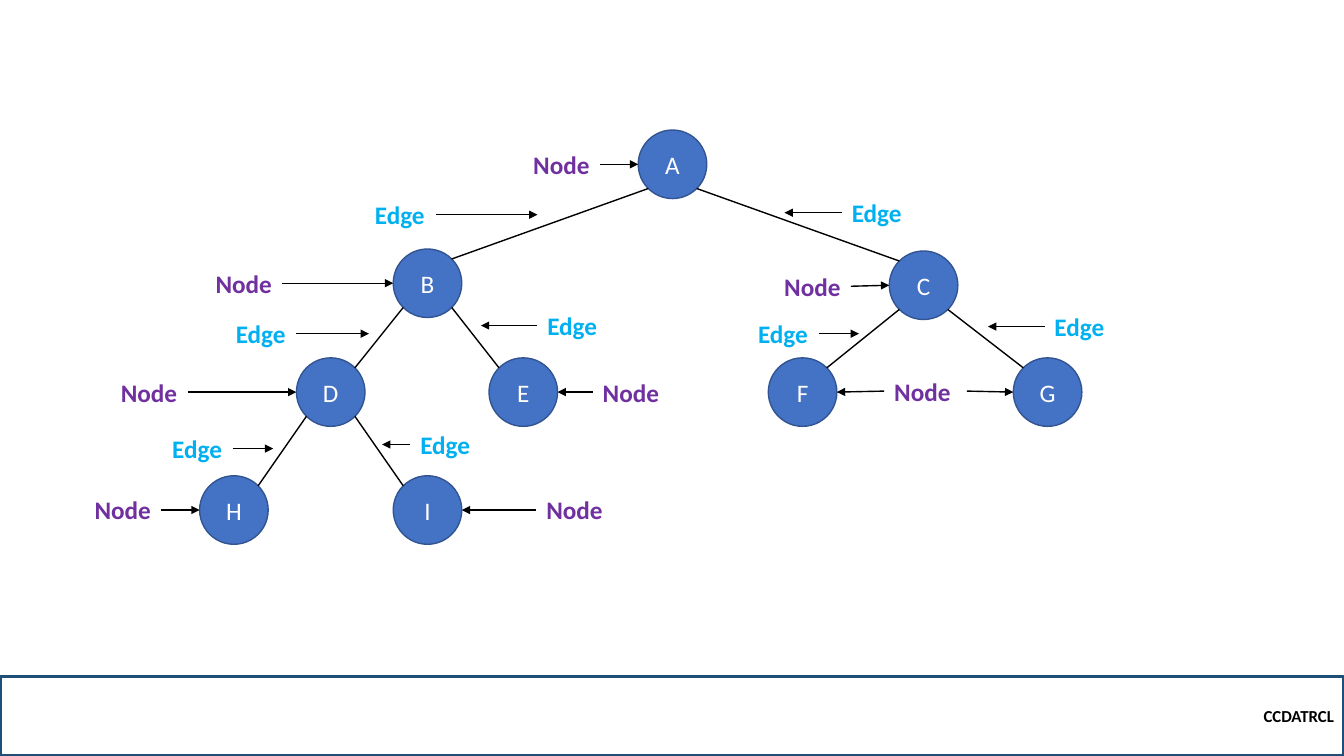
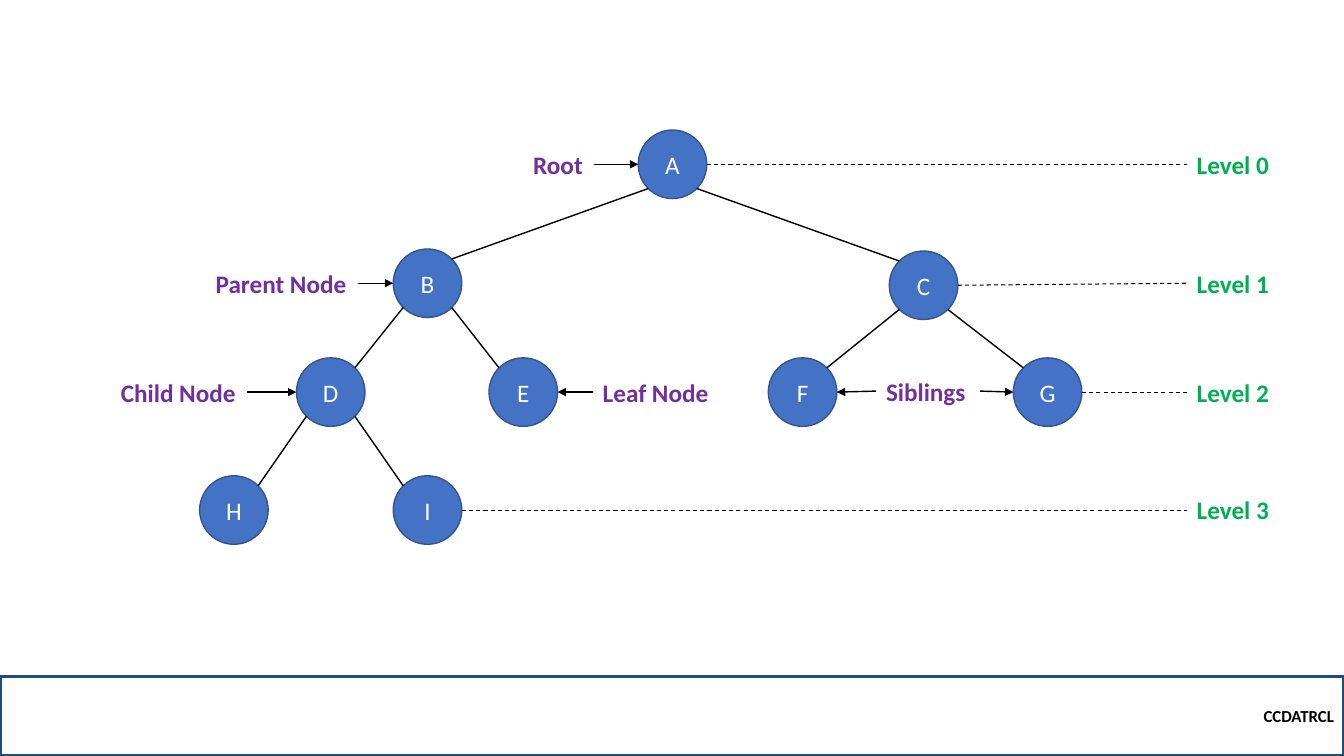
"""Build two slides that explain the parts and the levels of a binary tree."""
import pptx
import pptx.dml.color
import pptx.enum.dml
import pptx.enum.shapes
import pptx.enum.text
import pptx.oxml
import pptx.oxml.ns
import pptx.util
from pptx.util import Inches

RGBColor = pptx.dml.color.RGBColor
Align = pptx.enum.text.PP_ALIGN
Anchor = pptx.enum.text.MSO_ANCHOR
Shape = pptx.enum.shapes.MSO_SHAPE

BLACK = RGBColor(0x00, 0x00, 0x00)
WHITE = RGBColor(0xFF, 0xFF, 0xFF)
NAVY = RGBColor(0x1F, 0x4E, 0x79)
NODE_FILL = RGBColor(0x44, 0x72, 0xC4)
NODE_LINE = RGBColor(0x32, 0x54, 0x91)
PURPLE = RGBColor(0x70, 0x30, 0xA0)
SKY = RGBColor(0x00, 0xB0, 0xF0)
GREEN = RGBColor(0x00, 0xB0, 0x50)

SIZE = 0.68
RADIUS = SIZE / 2
DIAGONAL = RADIUS * 0.5 ** 0.5
LABEL_HEIGHT = 0.4

NODES = {
    "A": (6.33, 1.29), "B": (3.9, 2.47), "C": (8.82, 2.49),
    "D": (2.94, 3.55), "E": (4.85, 3.55), "F": (7.62, 3.55),
    "G": (10.05, 3.55), "H": (1.98, 4.72), "I": (3.9, 4.72),
}
CHILDREN = {"A": "BC", "B": "DE", "C": "FG", "D": "HI"}

NODE_LABELS = [
    [("Node", 2.04, 2.61, 0.76, "B"), ("Node", 1.1, 3.69, 0.76, "D"),
     ("Node", 8.77, 3.68, 0.82, "FG"), ("Node", 5.19, 1.43, 0.76, "A"),
     ("Node", 5.88, 3.69, 0.76, "E"), ("Node", 7.68, 2.64, 0.76, "C"),
     ("Node", 0.84, 4.86, 0.76, "H"), ("Node", 5.32, 4.86, 0.76, "I")],
    [("Parent Node", 2.04, 2.61, 1.51, "B"),
     ("Child Node", 1.1, 3.69, 1.35, "D"),
     ("Siblings", 8.69, 3.68, 1.03, "FG"), ("Root", 5.19, 1.43, 0.7, "A"),
     ("Leaf Node", 5.88, 3.69, 1.26, "E")],
]
EDGE_LABELS = [
    [(8.35, 1.91, 7.78), (3.62, 1.93, 5.33), (2.24, 3.11, 3.66),
     (1.61, 4.25, 2.71), (5.33, 3.03, 4.77), (4.07, 4.21, 3.79),
     (10.36, 3.04, 9.8), (7.42, 3.11, 8.52)],
    [],
]
EDGE_WIDTH = 0.7
LEVELS = [[], [("A", 1.43), ("C", 2.61), ("G", 3.69), ("I", 4.86)]]
LEVEL_LEFT = 11.77


def add_text(slide, text, left, top, width, height, shape=None, fill=None,
             line=None, weight=1, size=18, color=WHITE, bold=False,
             align=Align.LEFT):
    place = [Inches(value) for value in (left, top, width, height)]
    if shape is None:
        box = slide.shapes.add_textbox(*place)
        box.text_frame.margin_right = 0
    else:
        box = slide.shapes.add_shape(shape, *place)
        box.shadow.inherit = False
        box.line.color.rgb = line
        box.line.width = pptx.util.Pt(weight)
        box.text_frame.vertical_anchor = Anchor.MIDDLE
        if fill is None:
            box.fill.background()
        else:
            box.fill.solid()
            box.fill.fore_color.rgb = fill
    box.text_frame.word_wrap = True
    para = box.text_frame.paragraphs[0]
    para.alignment = align
    span = para.add_run()
    span.text = text
    span.font.name = "Calibri"
    span.font.size = pptx.util.Pt(size)
    span.font.bold = bold
    span.font.color.rgb = color


def add_line(slide, start, end, weight=1, arrow=False, dashed=False):
    points = [Inches(value) for value in (*start, *end)]
    connector = slide.shapes.add_connector(
        pptx.enum.shapes.MSO_CONNECTOR.STRAIGHT, *points)
    connector.line.color.rgb = BLACK
    connector.line.width = pptx.util.Pt(weight)
    if dashed:
        connector.line.dash_style = pptx.enum.dml.MSO_LINE.DASH
    if arrow:
        head = pptx.oxml.parse_xml(
            f'<a:tailEnd {pptx.oxml.ns.nsdecls("a")} type="triangle"/>')
        connector.line._get_or_add_ln().append(head)
    connector._element.spPr.append(
        pptx.oxml.parse_xml(f'<a:effectLst {pptx.oxml.ns.nsdecls("a")}/>'))


deck = pptx.Presentation()
deck.slide_width = Inches(13.33)
deck.slide_height = Inches(7.5)

for node_labels, edge_labels, levels in zip(NODE_LABELS, EDGE_LABELS, LEVELS):
    page = deck.slides.add_slide(deck.slide_layouts[6])
    add_text(page, "CCDATRCL", 0, 6.71, 13.33, 0.79, shape=Shape.RECTANGLE,
             line=NAVY, weight=2.25, size=12, color=BLACK, bold=True,
             align=Align.RIGHT)

    for name, (left, top) in NODES.items():
        add_text(page, name, left, top, SIZE, SIZE, shape=Shape.OVAL,
                 fill=NODE_FILL, line=NODE_LINE, align=Align.CENTER)

    for parent, children in CHILDREN.items():
        parent_left, parent_top = NODES[parent]
        for child, side in zip(children, (-1, 1)):
            child_left, child_top = NODES[child]
            add_line(page,
                     (parent_left + RADIUS + side * DIAGONAL,
                      parent_top + RADIUS + DIAGONAL),
                     (child_left + RADIUS - side * DIAGONAL,
                      child_top + RADIUS - DIAGONAL))

    for text, left, top, width, targets in node_labels:
        add_text(page, text, left, top, width, LABEL_HEIGHT, color=PURPLE,
                 bold=True)
        for target in targets:
            node_left, node_top = NODES[target]
            on_left = node_left < left
            add_line(page,
                     (left if on_left else left + width,
                      top + LABEL_HEIGHT / 2),
                     (node_left + SIZE if on_left else node_left,
                      node_top + RADIUS), arrow=True)

    for left, top, tip in edge_labels:
        add_text(page, "Edge", left, top, EDGE_WIDTH, LABEL_HEIGHT, color=SKY,
                 bold=True)
        middle = top + LABEL_HEIGHT / 2
        add_line(page, (left if tip < left else left + EDGE_WIDTH, middle),
                 (tip, middle), arrow=True)

    for number, (name, top) in enumerate(levels):
        add_text(page, f"Level {number}", LEVEL_LEFT, top, 0.92, LABEL_HEIGHT,
                 color=GREEN, bold=True)
        node_left, node_top = NODES[name]
        add_line(page, (node_left + SIZE, node_top + RADIUS),
                 (LEVEL_LEFT, top + LABEL_HEIGHT / 2), weight=0.75,
                 dashed=True)

deck.save("out.pptx")
